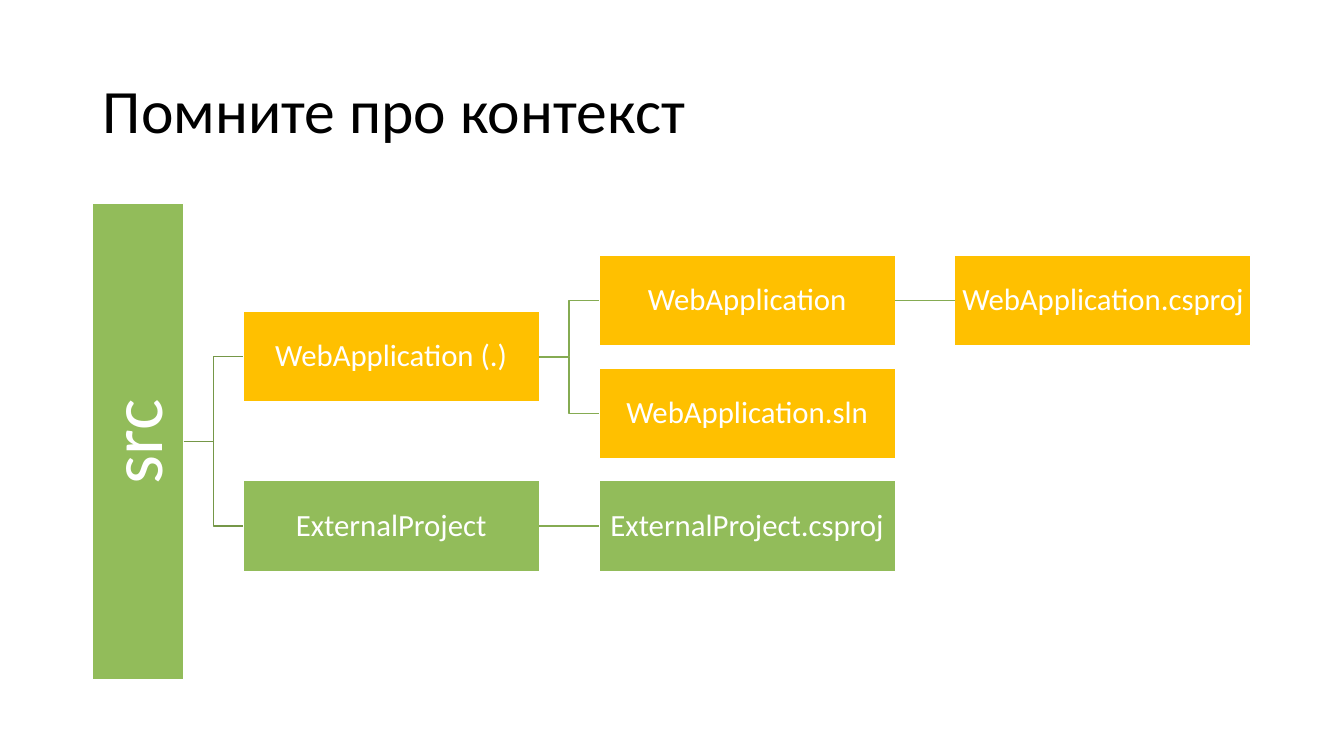
from lxml.etree import SubElement
from pptx import Presentation
from pptx.dml.color import RGBColor
from pptx.enum.shapes import MSO_CONNECTOR, MSO_SHAPE
from pptx.enum.text import MSO_ANCHOR, PP_ALIGN
from pptx.oxml.ns import qn
from pptx.util import Inches, Pt

GREEN, AMBER, WHITE, BLACK = "92BC5A", "FFC000", "FFFFFF", "000000"
TRUNK, BRANCH = "759748", "85AB52"
BOX_WIDTH, BOX_HEIGHT = 2.94, 0.9
FIRST_COLUMN, COLUMN_STEP = 2.41, 3.53
FIRST_ROW, ROW_STEP = 2.53, 1.12


def color(hex_value):
    return RGBColor.from_string(hex_value)


def write(frame, text, size, hex_value, align, inset=None):
    frame.text = text
    frame.word_wrap = True
    frame.vertical_anchor = MSO_ANCHOR.MIDDLE
    if inset is not None:
        for side in ("left", "right", "top", "bottom"):
            setattr(frame, f"margin_{side}", Inches(inset))
    paragraph = frame.paragraphs[0]
    paragraph.alignment = align
    paragraph.line_spacing = 0.9
    formats = {"name": "Calibri", "size": Pt(size), "bold": False}
    for name, value in formats.items():
        setattr(paragraph.font, name, value)
    paragraph.font.color.rgb = color(hex_value)


def add_title(slide, text):
    title = slide.shapes.title
    place = {"left": 0.92, "top": 0.4, "width": 11.5, "height": 1.45}
    for name, value in place.items():
        setattr(title, name, Inches(value))
    write(title.text_frame, text, 44, BLACK, PP_ALIGN.LEFT)


def add_box(slide, text, place, fill, size=22, inset=0.02):
    box = slide.shapes.add_shape(MSO_SHAPE.RECTANGLE, *map(Inches, place))
    box.shadow.inherit = False
    box.fill.solid()
    box.fill.fore_color.rgb = color(fill)
    box.line.color.rgb = color(WHITE)
    box.line.width = Pt(1)
    write(box.text_frame, text, size, WHITE, PP_ALIGN.CENTER, inset)
    return box


def add_root(slide, text):
    root = add_box(slide, text, (0.92, 2.02, BOX_HEIGHT, 4.72), GREEN, 53, 0.04)
    root.text_frame._txBody.bodyPr.set("vert", "vert270")
    return root


def add_node(slide, text, column, row, fill):
    left = FIRST_COLUMN + column * COLUMN_STEP
    top = FIRST_ROW + row * ROW_STEP
    return add_box(slide, text, (left, top, BOX_WIDTH, BOX_HEIGHT), fill)


def link(slide, parent, child, hex_value, kind):
    line = slide.shapes.add_connector(kind, 0, 0, 0, 0)
    line.begin_connect(parent, 3)
    line.end_connect(child, 1)
    line.line.color.rgb = color(hex_value)
    line.line.width = Pt(1)
    SubElement(line._element.spPr, qn("a:effectLst"))


def main():
    deck = Presentation()
    deck.slide_width, deck.slide_height = Inches(13.33), Inches(7.5)
    slide = deck.slides.add_slide(deck.slide_layouts[5])
    add_title(slide, "Помните про контекст")

    src = add_root(slide, "src")
    application = add_node(slide, "WebApplication (.)", 0, 0.5, AMBER)
    folder = add_node(slide, "WebApplication", 1, 0, AMBER)
    project = add_node(slide, "WebApplication.csproj", 2, 0, AMBER)
    solution = add_node(slide, "WebApplication.sln", 1, 1, AMBER)
    external = add_node(slide, "ExternalProject", 0, 2, GREEN)
    external_project = add_node(slide, "ExternalProject.csproj", 1, 2, GREEN)

    for parent, child, hex_value, kind in (
        (src, application, TRUNK, MSO_CONNECTOR.ELBOW),
        (src, external, TRUNK, MSO_CONNECTOR.ELBOW),
        (application, folder, BRANCH, MSO_CONNECTOR.ELBOW),
        (application, solution, BRANCH, MSO_CONNECTOR.ELBOW),
        (folder, project, BRANCH, MSO_CONNECTOR.STRAIGHT),
        (external, external_project, BRANCH, MSO_CONNECTOR.STRAIGHT),
    ):
        link(slide, parent, child, hex_value, kind)

    deck.save("out.pptx")


if __name__ == "__main__":
    main()
